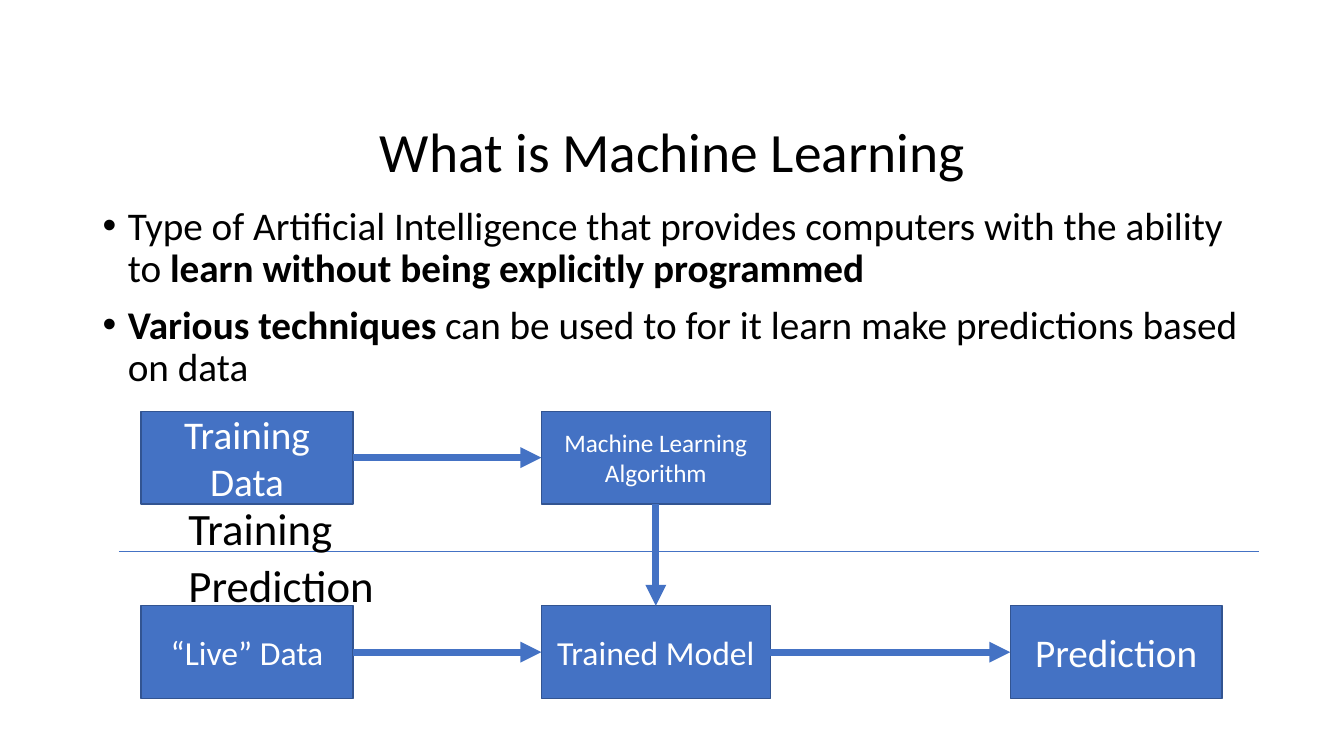
from lxml.etree import SubElement
from pptx import Presentation
from pptx.dml.color import RGBColor
from pptx.enum.shapes import MSO_CONNECTOR, MSO_SHAPE
from pptx.enum.text import MSO_ANCHOR, MSO_AUTO_SIZE, PP_ALIGN
from pptx.oxml.ns import qn
from pptx.util import Inches, Pt

BLACK = RGBColor(0x00, 0x00, 0x00)
WHITE = RGBColor(0xFF, 0xFF, 0xFF)
BLUE = RGBColor(0x44, 0x72, 0xC4)
DARK_BLUE = RGBColor(0x32, 0x54, 0x91)
FONT = "Calibri"

COLUMNS = {"data": (1.4, 2.1), "model": (5.37, 2.27), "result": (10.02, 2.1)}
ROWS = {"training": 4.08, "prediction": 6.01}
BOX_HEIGHT = 0.92
TOP, LEFT, BOTTOM, RIGHT = range(4)

STAGES = [
    ("data", "training", "Training Data", 28),
    ("model", "training", "Machine Learning Algorithm", 18),
    ("model", "prediction", "Trained Model", 24),
    ("data", "prediction", "“Live” Data", 24),
    ("result", "prediction", "Prediction", 28),
]
FLOWS = [
    (("data", "training"), RIGHT, ("model", "training"), LEFT),
    (("data", "prediction"), RIGHT, ("model", "prediction"), LEFT),
    (("model", "prediction"), RIGHT, ("result", "prediction"), LEFT),
    (("model", "training"), BOTTOM, ("model", "prediction"), TOP),
]
BULLETS = [
    [
        ("Type of Artificial Intelligence that provides computers with the ability to ", False),
        ("learn without being explicitly programmed", True),
    ],
    [
        ("Various techniques", True),
        (" can be used to for it learn make predictions based on data", False),
    ],
]


def add_run(para, text, size, color=BLACK, bold=False):
    span = para.add_run()
    span.text = text
    span.font.name = FONT
    span.font.size = Pt(size)
    span.font.bold = bold
    span.font.color.rgb = color


def add_text_frame(page, left, top, width, height):
    box = page.shapes.add_textbox(Inches(left), Inches(top), Inches(width), Inches(height))
    box.text_frame.word_wrap = True
    return box.text_frame


def add_title(page, text):
    frame = add_text_frame(page, 0.92, 1.26, 11.5, 0.54)
    frame.vertical_anchor = MSO_ANCHOR.MIDDLE
    para = frame.paragraphs[0]
    para.alignment = PP_ALIGN.CENTER
    para.line_spacing = 0.9
    add_run(para, text, 39.6)


def add_bullets(page, bullets):
    frame = add_text_frame(page, 0.92, 2, 11.5, 2)
    for index, spans in enumerate(bullets):
        para = frame.add_paragraph() if index else frame.paragraphs[0]
        para.line_spacing = 0.9
        if index:
            para.space_before = Pt(10)
        properties = para._p.get_or_add_pPr()
        properties.set("marL", str(Inches(0.25)))
        properties.set("indent", str(-Inches(0.25)))
        SubElement(properties, qn("a:buFont"), typeface="Arial")
        SubElement(properties, qn("a:buChar"), char="•")
        for text, bold in spans:
            add_run(para, text, 28, bold=bold)


def add_stage(page, column, row, text, size):
    left, width = COLUMNS[column]
    box = page.shapes.add_shape(
        MSO_SHAPE.RECTANGLE, Inches(left), Inches(ROWS[row]), Inches(width), Inches(BOX_HEIGHT)
    )
    box.shadow.inherit = False
    box.fill.solid()
    box.fill.fore_color.rgb = BLUE
    box.line.color.rgb = DARK_BLUE
    box.line.width = Pt(1)
    frame = box.text_frame
    frame.word_wrap = True
    frame.vertical_anchor = MSO_ANCHOR.MIDDLE
    para = frame.paragraphs[0]
    para.alignment = PP_ALIGN.CENTER
    add_run(para, text, size, WHITE)
    return box


def add_line(page, width, start=(0, 0), end=(0, 0)):
    points = [Inches(value) for value in (*start, *end)]
    line = page.shapes.add_connector(MSO_CONNECTOR.STRAIGHT, *points)
    line.line.color.rgb = BLUE
    line.line.width = Pt(width)
    SubElement(line._element.spPr, qn("a:effectLst"))
    return line


def add_arrow(page, source, source_side, target, target_side):
    arrow = add_line(page, 5)
    arrow.begin_connect(source, source_side)
    arrow.end_connect(target, target_side)
    SubElement(arrow.line._get_or_add_ln(), qn("a:tailEnd"), type="triangle")


def add_phase_label(page, text, top, width):
    frame = add_text_frame(page, 1.77, top, width, 0.64)
    frame.word_wrap = False
    frame.auto_size = MSO_AUTO_SIZE.SHAPE_TO_FIT_TEXT
    add_run(frame.paragraphs[0], text, 32)


def main():
    deck = Presentation()
    deck.slide_width = Inches(13.33)
    deck.slide_height = Inches(7.5)
    page = deck.slides.add_slide(deck.slide_layouts[6])
    add_title(page, "What is Machine Learning")
    add_bullets(page, BULLETS)
    boxes = {
        (column, row): add_stage(page, column, row, text, size)
        for column, row, text, size in STAGES
    }
    for source, source_side, target, target_side in FLOWS:
        add_arrow(page, boxes[source], source_side, boxes[target], target_side)
    add_line(page, 0.5, (1.18, 5.47), (12.49, 5.47))
    add_phase_label(page, "Training", 4.92, 1.77)
    add_phase_label(page, "Prediction", 5.48, 2.15)
    deck.save("out.pptx")


if __name__ == "__main__":
    main()
